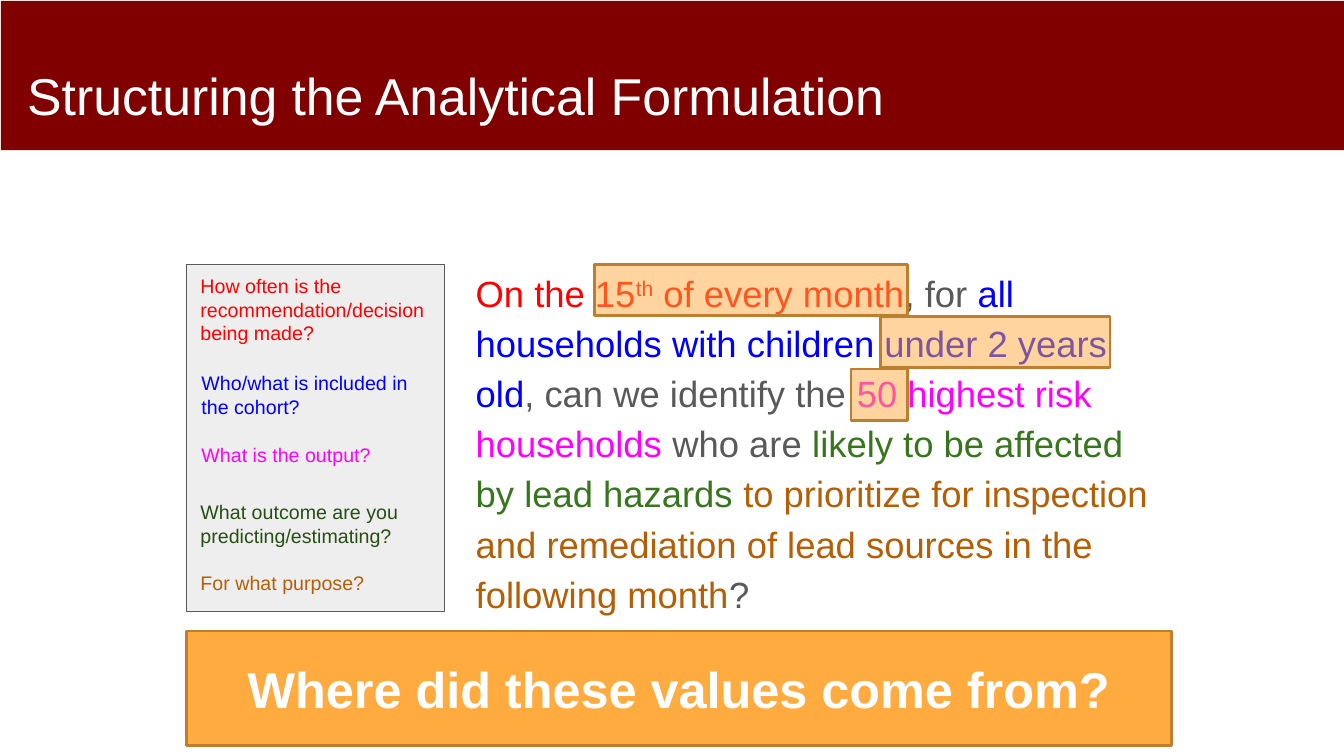
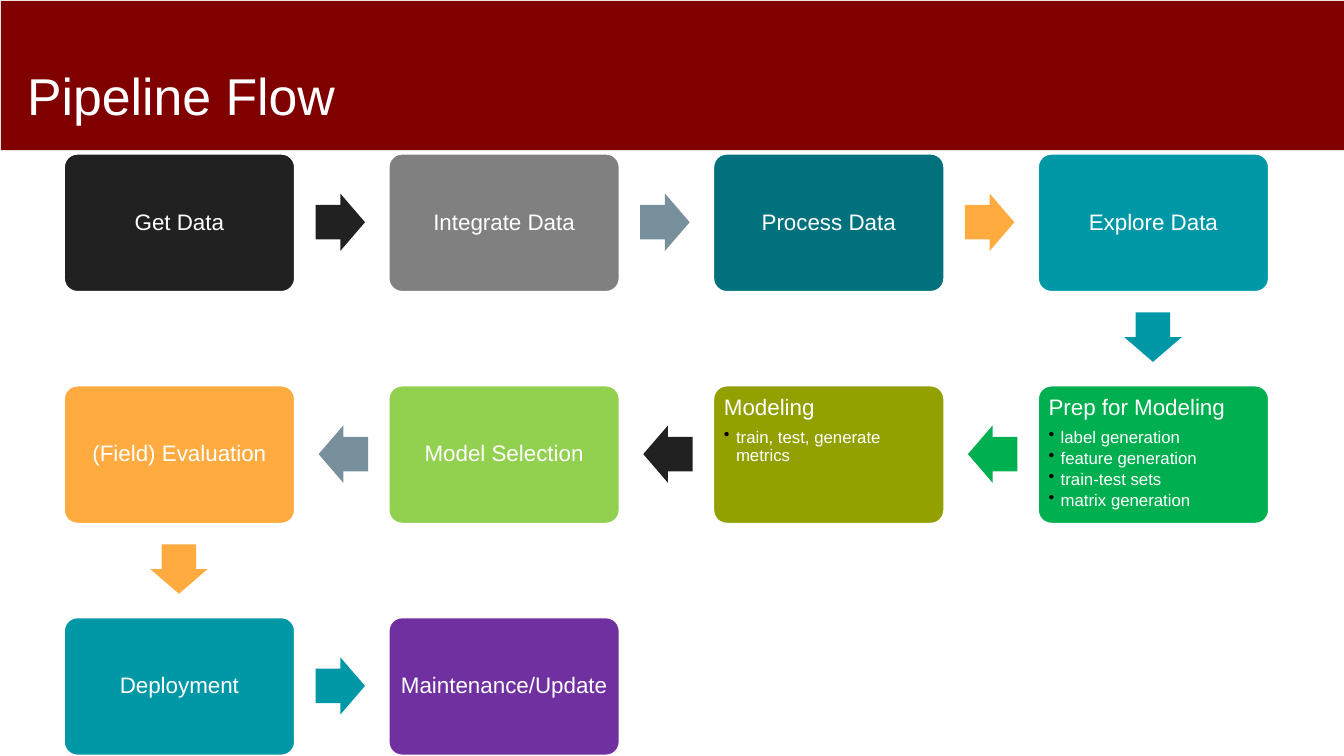
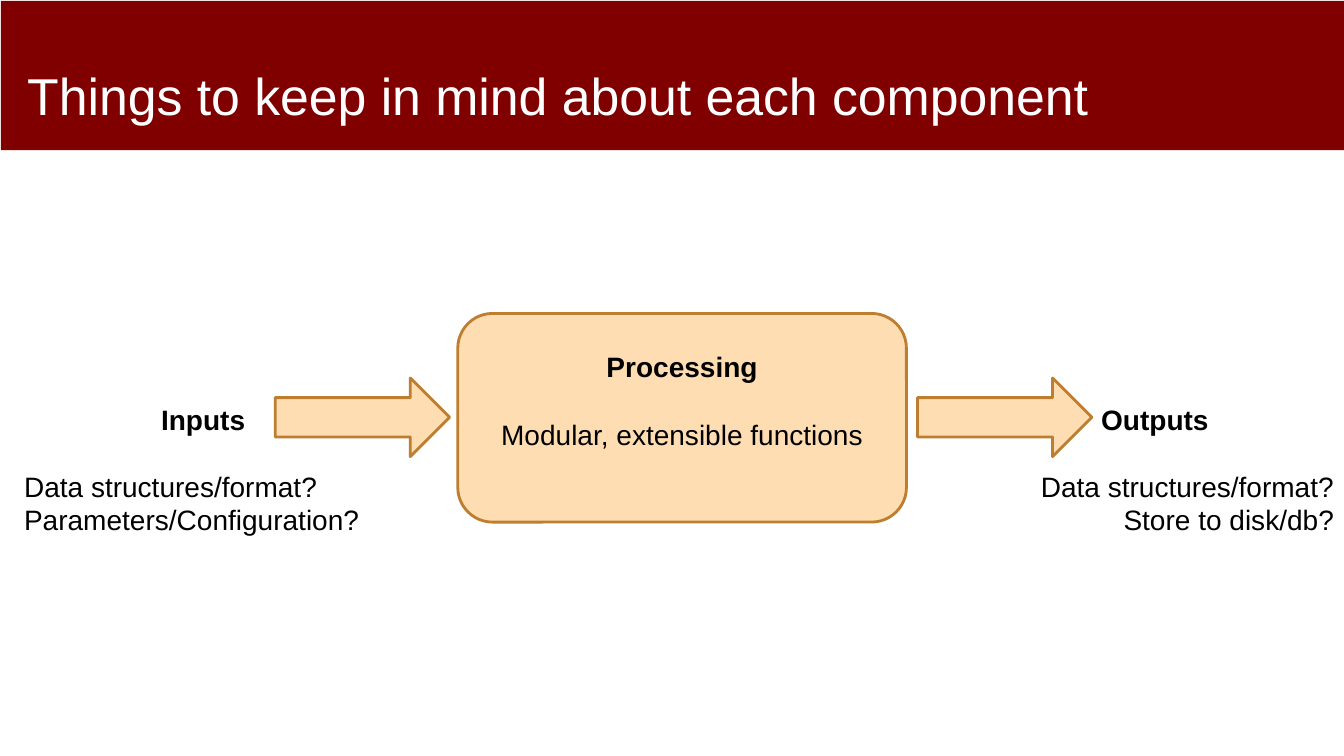
from lxml.etree import SubElement
from pptx import Presentation
from pptx.dml.color import RGBColor
from pptx.enum.shapes import MSO_SHAPE
from pptx.enum.text import MSO_ANCHOR, PP_ALIGN
from pptx.oxml.ns import qn
from pptx.util import Inches, Pt

COLOURS = {
    "white": "FFFFFF", "black": "000000", "maroon": "800000", "panel": "EEEEEE",
    "grey": "595959", "red": "FF0000", "blue": "0000FF", "magenta": "FF00FF",
    "green": "38761D", "forest": "274E13", "brown": "B45F06", "orange": "FFAB40",
    "bronze": "BD7F2F", "peach": "FFDDB3", "charcoal": "212121", "silver": "808080",
    "slate": "78909C", "petrol": "00717D", "teal": "0097A7", "emerald": "00B050",
    "olive": "92A000", "lime": "92D050", "purple": "7030A0",
}
FONT = "Arial"
LEFT, CENTER, RIGHT = PP_ALIGN.LEFT, PP_ALIGN.CENTER, PP_ALIGN.RIGHT
TOP, MIDDLE = MSO_ANCHOR.TOP, MSO_ANCHOR.MIDDLE


class Deck:
    """Holds the shared style and the page being drawn."""

    def __init__(self):
        self.deck = Presentation()
        self.deck.slide_width, self.deck.slide_height = Inches(13.33), Inches(7.5)
        self.page = None

    def add_page(self, title):
        self.page = self.deck.slides.add_slide(self.deck.slide_layouts[6])
        self.shape(MSO_SHAPE.RECTANGLE, 0.01, 0.01, 13.33, 1.48, "maroon")
        box = self.text(0.14, 0.5, 12.42, 0.83, inset=(0.13, 0.13))
        self.para(box, [(title, "white")], 37)

    def shape(self, kind, left, top, width, height, fill, line=None, weight=2,
              alpha=None, adjust=(), turn=0):
        shape = self.page.shapes.add_shape(
            kind, Inches(left), Inches(top), Inches(width), Inches(height))
        shape.shadow.inherit = False
        shape.rotation = turn
        for index, value in enumerate(adjust):
            shape.adjustments[index] = value
        shape.fill.solid()
        shape.fill.fore_color.rgb = self.colour(fill)
        if alpha:
            tint = shape.fill._xPr.find(qn("a:solidFill"))[0]
            SubElement(tint, qn("a:alpha")).set("val", str(alpha * 1000))
        if line:
            shape.line.color.rgb = self.colour(line)
            shape.line.width = Pt(weight)
        else:
            shape.line.fill.background()
        return shape

    def text(self, left, top, width, height, inset=(0.1, 0.1)):
        box = self.page.shapes.add_textbox(
            Inches(left), Inches(top), Inches(width), Inches(height))
        self.frame(box, inset)
        return box

    def frame(self, box, inset, anchor=TOP):
        frame = box.text_frame
        frame.word_wrap = True
        frame.vertical_anchor = anchor
        frame.margin_left = frame.margin_right = Inches(inset[0])
        frame.margin_top = frame.margin_bottom = Inches(inset[1])

    def para(self, box, spans, size, align=LEFT, bold=False, spacing=1.0,
             before=0, after=0, bullet=False):
        frame = box.text_frame
        para = frame.paragraphs[0]
        if para.runs:
            para = frame.add_paragraph()
        para.alignment = align
        para.line_spacing = spacing
        para.space_before, para.space_after = Pt(before), Pt(after)
        if bullet:
            self.bullet(para)
        for words, colour, *raised in spans:
            span = para.add_run()
            span.text = words
            span.font.name, span.font.size, span.font.bold = FONT, Pt(size), bold
            span.font.color.rgb = self.colour(colour)
            if raised:
                span._r.get_or_add_rPr().set("baseline", str(raised[0] * 1000))

    def bullet(self, para):
        settings = para._p.get_or_add_pPr()
        settings.set("marL", str(Inches(0.12)))
        settings.set("indent", str(Inches(-0.12)))
        tint = SubElement(settings, qn("a:buClr"))
        SubElement(tint, qn("a:srgbClr")).set("val", COLOURS["black"])
        SubElement(settings, qn("a:buChar")).set("char", "•")

    def step(self, left, top, label, fill, points):
        box = self.shape(MSO_SHAPE.ROUNDED_RECTANGLE, left, top, 2.3, 1.38, fill,
                         "white", adjust=[0.1])
        self.frame(box, (0.07, 0.07), TOP if points else MIDDLE)
        self.para(box, [(label, "white")], 16, LEFT if points else CENTER,
                  spacing=0.9, after=6)
        for point in points:
            self.para(box, [(point, "white")], 12, spacing=0.9, after=2, bullet=True)

    def topic(self, box, heading, lines, align):
        self.para(box, [(heading, "black")], 20, CENTER, bold=True)
        for index, line in enumerate(lines):
            self.para(box, [(line, "black")], 20, align, before=0 if index else 24)

    @staticmethod
    def colour(name):
        return RGBColor.from_string(COLOURS[name])


def draw_formulation(deck):
    deck.add_page("Structuring the Analytical Formulation")
    deck.shape(MSO_SHAPE.RECTANGLE, 1.85, 2.62, 2.56, 3.45, "panel", "grey", 0.75)
    body = deck.text(4.62, 2.52, 7, 3.74)
    deck.para(body, [
        ("On the 15", "red"), ("th", "red", 30), (" of every month", "red"),
        (", for ", "grey"),
        ("all households with children under 2 years old", "blue"),
        (", can we identify the ", "grey"),
        ("50 highest risk households", "magenta"), (" who are ", "grey"),
        ("likely to be affected by lead hazards ", "green"),
        ("to prioritize for inspection and remediation of lead sources in the "
         "following month", "brown"), ("?", "grey"),
    ], 26, spacing=1.15, after=16)
    questions = [
        (1.89, 2.62, 0.65, [("How often is the recommendation/decision being made?", "red")]),
        (1.9, 3.58, 0.65, [("Who/what is included in the cohort?", "blue")]),
        (1.9, 4.29, 0.65, [("What is the output?", "magenta")]),
        (1.89, 4.86, 1.21, [("What outcome are you predicting/estimating?", "forest"),
                            ("For what purpose?", "brown")]),
    ]
    for left, top, height, lines in questions:
        box = deck.text(left, top, 2.47, height)
        for index, line in enumerate(lines):
            deck.para(box, [line], 14, before=17 * index)
    for left, top, width in [(5.9, 2.62, 3.1), (8.44, 3.66, 0.56), (8.73, 3.14, 2.28)]:
        deck.shape(MSO_SHAPE.RECTANGLE, left, top, width, 0.51, "orange", "bronze", alpha=50)
    banner = deck.shape(MSO_SHAPE.RECTANGLE, 1.85, 6.26, 9.77, 1.14, "orange", "bronze")
    deck.frame(banner, (0.1, 0.05), MIDDLE)
    deck.para(banner, [("Where did these values come from?", "white")], 36, CENTER, bold=True)


def draw_pipeline(deck):
    deck.add_page("Pipeline Flow")
    steps = [
        ("Get Data", "charcoal", "charcoal", []),
        ("Integrate Data", "silver", "slate", []),
        ("Process Data", "petrol", "orange", []),
        ("Explore Data", "teal", "teal", []),
        ("Prep for Modeling", "emerald", "emerald",
         ["label generation", "feature generation", "train-test sets", "matrix generation"]),
        ("Modeling", "olive", "charcoal", ["train, test, generate metrics"]),
        ("Model Selection", "lime", "slate", []),
        ("(Field) Evaluation", "orange", "orange", []),
        ("Deployment", "teal", "teal", []),
        ("Maintenance/Update", "purple", None, []),
    ]
    columns = 4
    for index, (label, fill, arrow, points) in enumerate(steps):
        row, place = divmod(index, columns)
        backward = row % 2 == 1
        column = columns - 1 - place if backward else place
        left, top = 0.63 + 3.22 * column, 1.52 + 2.3 * row
        deck.step(left, top, label, fill, points)
        if not arrow:
            continue
        if place == columns - 1:
            across, down, turn = 0.9, 1.54, 90
        elif backward:
            across, down, turn = -0.69, 0.4, 180
        else:
            across, down, turn = 2.5, 0.4, 0
        deck.shape(MSO_SHAPE.RIGHT_ARROW, left + across, top + down, 0.49, 0.57, arrow,
                   adjust=[0.6, 0.5], turn=turn)


def draw_component(deck):
    deck.add_page("Things to keep in mind about each component")
    core = deck.shape(MSO_SHAPE.ROUNDED_RECTANGLE, 4.54, 3.11, 4.45, 2.07, "peach", "bronze")
    deck.frame(core, (0.1, 0.26))
    deck.topic(core, "Processing", ["Modular, extensible functions"], CENTER)
    sides = [
        (2.73, 0.14, "Inputs", ["Data structures/format?", "Parameters/Configuration?"], LEFT),
        (9.1, 9.58, "Outputs", ["Data structures/format?", "Store to disk/db?"], RIGHT),
    ]
    for arrow_left, text_left, heading, lines, align in sides:
        deck.shape(MSO_SHAPE.RIGHT_ARROW, arrow_left, 3.75, 1.73, 0.78, "peach", "bronze")
        box = deck.text(text_left, 3.94, 3.75, 1.45, inset=(0.1, 0.05))
        deck.topic(box, heading, lines, align)


def main():
    deck = Deck()
    draw_formulation(deck)
    draw_pipeline(deck)
    draw_component(deck)
    deck.deck.save("out.pptx")


if __name__ == "__main__":
    main()
